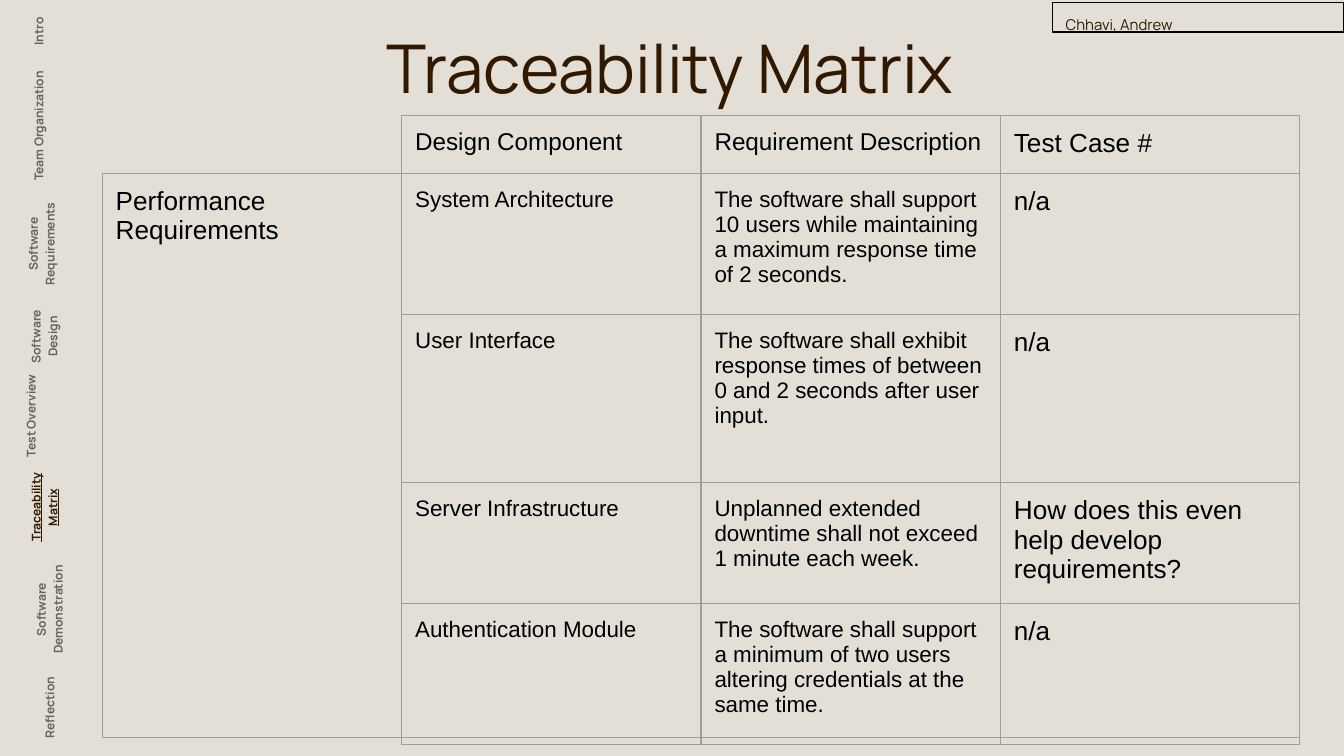
import pptx
import pptx.dml.color
import pptx.enum.shapes
import pptx.enum.text
import pptx.oxml
import pptx.oxml.ns
import pptx.util

Pt = pptx.util.Pt
COLORS = {"background": "E3DFD7", "brown": "301900", "gray": "636363",
          "black": "000000", "grid": "9E9E9E"}
INSET = 7.2
COLUMN = 160.4
TABLE_LEFT, TABLE_TOP, HEADER_TOP = 54.8, 92.9, 61.7
TAB_HEIGHT = 22.3

# label, left, top, length of each sideways navigation tab
TABS = [
    ("Intro", -7.2, 5.8, 59),
    ("Team Organization", -24.5, 56.2, 93.6),
    ("Software Requirements", -15.8, 119.5, 64.8),
    ("Software Design", -11.5, 169.2, 59),
    ("Test Overview", -11.5, 211.7, 59),
    ("Traceability Matrix", -14.4, 260.6, 64.8),
    ("Software Demonstration", -16.6, 315.4, 74.9),
    ("Reflection", -1.4, 367.9, 59),
]
CURRENT_TAB = "Traceability Matrix"
HEADERS = [("Design Component", "Requirement Description", "Test Case #")]
TRACES = [
    ("System Architecture",
     "The software shall support 10 users while maintaining a maximum "
     "response time of 2 seconds.", "n/a"),
    ("User Interface",
     "The software shall exhibit response times of between 0 and 2 seconds "
     "after user input.", "n/a"),
    ("Server Infrastructure",
     "Unplanned extended downtime shall not exceed 1 minute each week.",
     "How does this even help develop requirements?"),
    ("Authentication Module",
     "The software shall support a minimum of two users altering "
     "credentials at the same time.", "n/a"),
]
TRACE_HEIGHTS = [75.6, 90, 61.2, 75.6]


def rgb(name):
    return pptx.dml.color.RGBColor.from_string(COLORS[name])


def write(frame, text, color, spacing=None, align="LEFT", **font_format):
    """Fill a text frame with one top-anchored paragraph."""
    layout = {"word_wrap": True, "vertical_anchor": pptx.enum.text.MSO_ANCHOR.TOP}
    for side in ("left", "top", "right", "bottom"):
        layout[f"margin_{side}"] = Pt(INSET)
    for name, value in layout.items():
        setattr(frame, name, value)
    paragraph = frame.paragraphs[0]
    paragraph.alignment = getattr(pptx.enum.text.PP_ALIGN, align)
    paragraph.line_spacing = spacing
    run = paragraph.add_run()
    run.text = text
    for name, value in font_format.items():
        setattr(run.font, name, value)
    run.font.color.rgb = rgb(color)


def add_label(slide, box, text, color, rotation=0, **text_format):
    label = slide.shapes.add_textbox(*map(Pt, box))
    label.rotation = rotation
    write(label.text_frame, text, color, name="Manrope", **text_format)


def add_tab(slide, text, left, top, length):
    current = text == CURRENT_TAB
    add_label(slide, (left, top, length, TAB_HEIGHT), text,
              "brown" if current else "gray", rotation=270, spacing=1.15,
              align="CENTER", size=Pt(6.5), bold=True, underline=current)


def add_presenters(slide, text):
    box = slide.shapes.add_shape(pptx.enum.shapes.MSO_SHAPE.RECTANGLE,
                                 *map(Pt, (563.8, 1.4, 156.2, 15.8)))
    box.shadow.inherit = False
    box.fill.background()
    box.line.color.rgb = rgb("black")
    box.line.width = Pt(0.75)
    write(box.text_frame, text, "brown", name="Manrope", size=Pt(8))


def outline_cell(cell):
    """Draw the four borders, which must come before the cell fill."""
    properties = cell._tc.get_or_add_tcPr()
    for index, side in enumerate(("lnL", "lnR", "lnT", "lnB")):
        properties.insert(index, pptx.oxml.parse_xml(
            f'<a:{side} {pptx.oxml.ns.nsdecls("a")} w="{Pt(0.75)}">'
            f'<a:solidFill><a:srgbClr val="{COLORS["grid"]}"/></a:solidFill>'
            f'</a:{side}>'))


def add_grid(slide, left, top, heights, rows, sizes):
    """Add an unfilled table; sizes holds one font size per column."""
    columns = len(sizes)
    table = slide.shapes.add_table(
        len(rows), columns, Pt(left), Pt(top),
        Pt(COLUMN * columns), Pt(sum(heights))).table
    table.first_row = table.horz_banding = False
    for column in table.columns:
        column.width = Pt(COLUMN)
    for r, (texts, height) in enumerate(zip(rows, heights)):
        table.rows[r].height = Pt(height)
        for c, (text, size) in enumerate(zip(texts, sizes)):
            cell = table.cell(r, c)
            cell.fill.background()
            outline_cell(cell)
            for side in ("left", "top", "right", "bottom"):
                setattr(cell, f"margin_{side}", Pt(INSET))
            if text:
                write_cell(cell, text, size)


def write_cell(cell, text, size):
    run = cell.text_frame.paragraphs[0].add_run()
    run.text = text
    for name, value in {"name": "Arial", "size": Pt(size)}.items():
        setattr(run.font, name, value)
    run.font.color.rgb = rgb("black")


def main():
    deck = pptx.Presentation()
    deck.slide_width, deck.slide_height = Pt(720), Pt(405)
    slide = deck.slides.add_slide(deck.slide_layouts[6])
    slide.background.fill.solid()
    slide.background.fill.fore_color.rgb = rgb("background")

    add_label(slide, (200.2, 15.1, 373.7, 54), "Traceability Matrix", "brown",
              spacing=0.8, size=Pt(36))
    for tab in TABS:
        add_tab(slide, *tab)
    add_grid(slide, TABLE_LEFT, TABLE_TOP, [sum(TRACE_HEIGHTS)],
             [("Performance Requirements", "", "", "")], (14, 14, 14, 14))
    trace_left = TABLE_LEFT + COLUMN
    add_grid(slide, trace_left, TABLE_TOP, TRACE_HEIGHTS, TRACES, (12, 12, 14))
    add_presenters(slide, "Chhavi, Andrew")
    add_grid(slide, trace_left, HEADER_TOP, [TABLE_TOP - HEADER_TOP], HEADERS,
             (13, 13, 14))
    deck.save("out.pptx")


if __name__ == "__main__":
    main()
